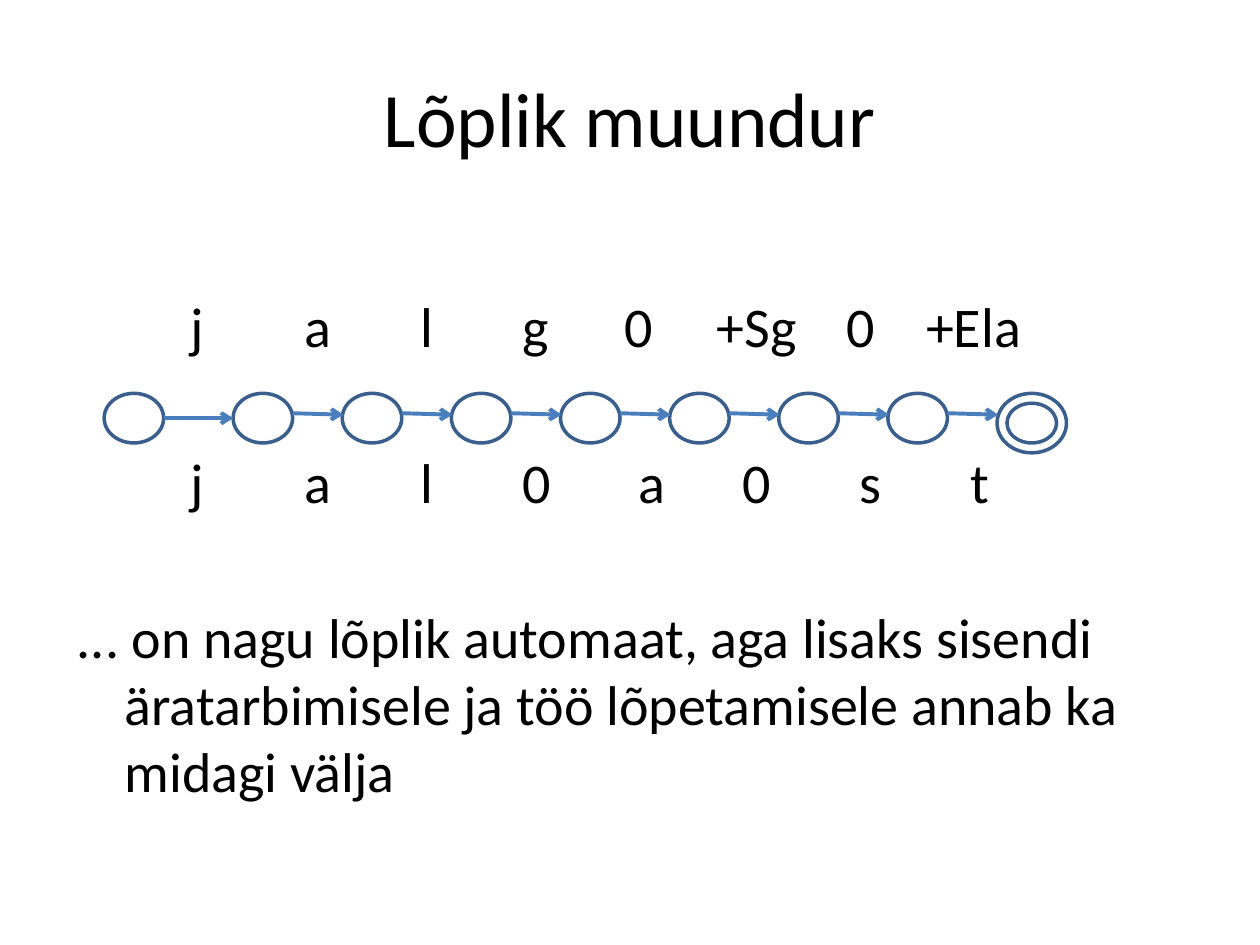
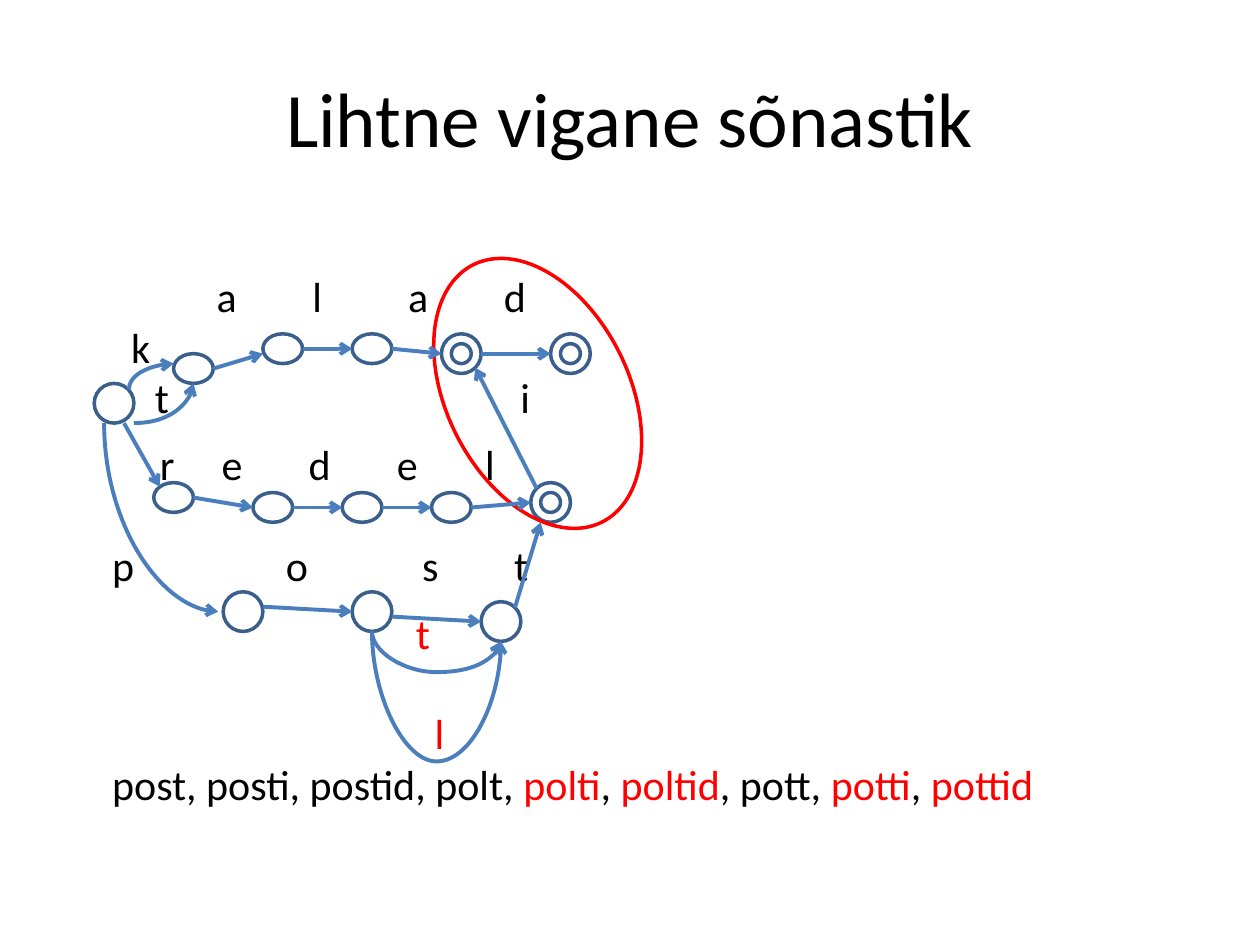
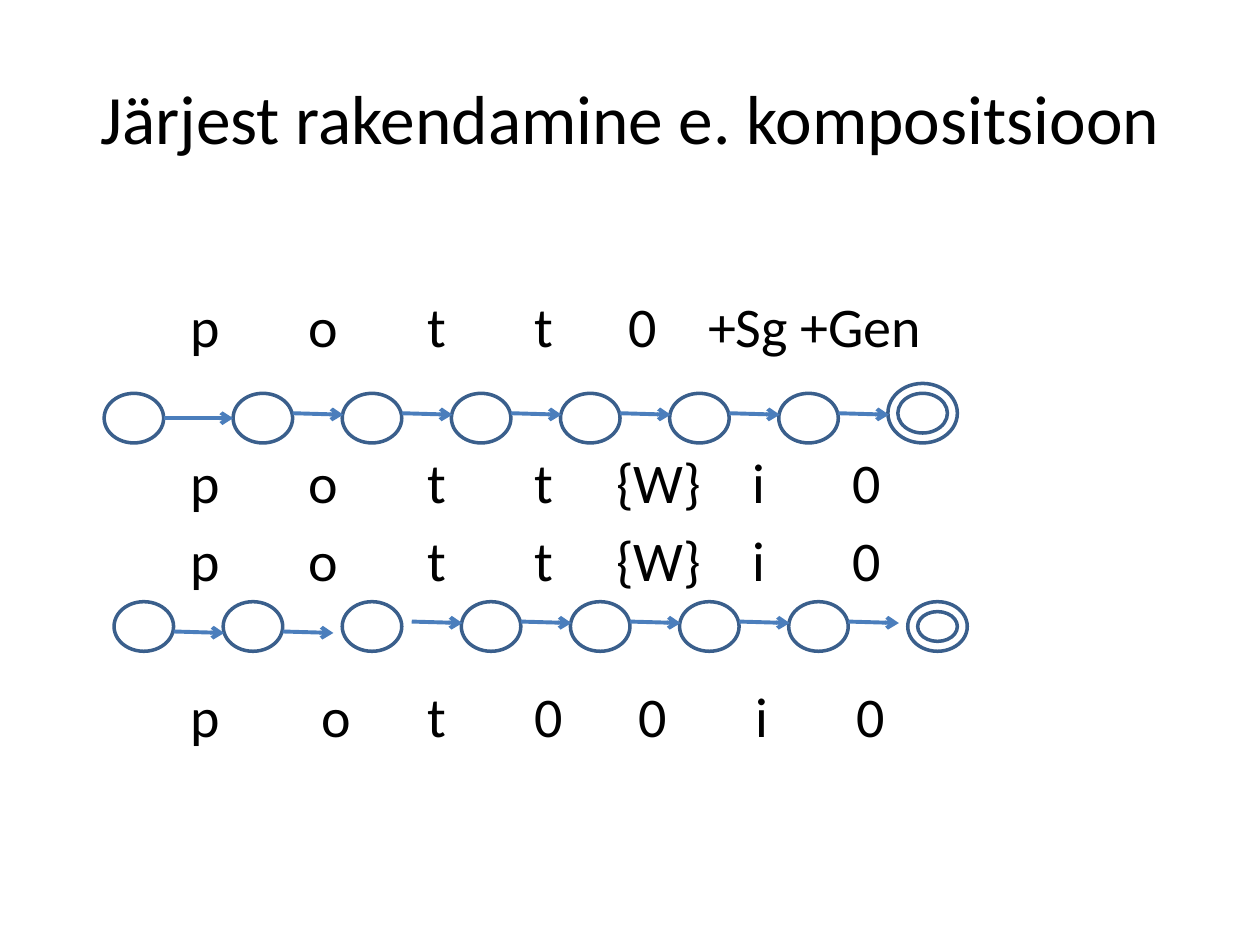
"""Build three slides about finite-state transducers."""
from dataclasses import dataclass
from typing import NamedTuple

from lxml.etree import SubElement
from pptx import Presentation
from pptx.dml.color import RGBColor
from pptx.enum.shapes import MSO_CONNECTOR, MSO_SHAPE
from pptx.enum.text import MSO_ANCHOR, MSO_AUTO_SIZE, PP_ALIGN
from pptx.oxml.ns import qn
from pptx.util import Inches, Length, Mm, Pt


@dataclass(frozen=True)
class Theme:
    """Colours, type sizes and line widths shared by the slides."""

    font: str = "Calibri"
    ink: str = "000000"
    accent: str = "FF0000"
    outline: str = "3A5F8C"
    arrow: str = "4B7EBC"
    title_size: float = 44
    long_title_size: float = 39.6
    body_size: float = 32
    dictionary_size: float = 24
    outline_width: float = 2
    arrow_width: float = 2.25


THEME = Theme()
WIDTH, HEIGHT = Inches(10), Inches(7.5)
HANGING = 0.38


class State(NamedTuple):
    """An automaton state in grid cells; a final one has an inner ring."""

    column: float
    row: float
    columns: float = 6
    rows: float = 5
    final: bool = False
    color: str = THEME.outline
    rotation: float = 0


class Link(NamedTuple):
    """A straight arrow between two grid points."""

    column: float
    row: float
    end_column: float
    end_row: float


class Curve(NamedTuple):
    """A curved arrow; dip is how many rows a loop hangs below its start."""

    link: Link
    vertical_start: bool = True
    dip: float = 0


class Span(NamedTuple):
    """A piece of text in one colour."""

    text: str
    color: str = THEME.ink


class Body(NamedTuple):
    """The place, indents and text of a body placeholder."""

    left: float
    top: float
    text_top: float
    indent: float
    spans: tuple[Span, ...]


class LabelRow(NamedTuple):
    """Bar-separated labels, placed by text line and percent of the width."""

    line: float
    text: str
    stops: tuple[float, ...]
    color: str = THEME.ink


class TextGrid(NamedTuple):
    """The first line, line pitch and type size of the text on a slide."""

    top: float
    pitch: float
    size: float


class Page(NamedTuple):
    """Everything that one slide shows."""

    title: str
    text_grid: TextGrid
    rows: tuple[LabelRow, ...]
    states: tuple[State, ...]
    links: tuple[Link, ...]
    curves: tuple[Curve, ...] = ()
    body: Body | None = None
    title_size: float = THEME.title_size


WORD_GRID = TextGrid(2.31, 0.62, THEME.body_size)
DICTIONARY_GRID = TextGrid(2.15, 0.4, THEME.dictionary_size)


def grid_x(column: float) -> Length:
    """Return the horizontal place of a grid column."""
    return Mm(1 + 2 * column)


def grid_y(row: float) -> Length:
    """Return the vertical place of a grid row."""
    return Mm(1.3 + 2 * row)


def step(column: float, row: float) -> Link:
    """Return the short, slightly sloping arrow between chain states."""
    return Link(column, row, column + 5.1, row + 0.15)


def set_values(target, values: dict) -> None:
    """Set each named attribute of an object."""
    for name, value in values.items():
        setattr(target, name, value)


def add_span(para, text: str, size: float, color: str) -> None:
    """Append a run in the theme font."""
    span = para.add_run()
    span.text = text
    set_values(span.font, {"name": THEME.font, "size": Pt(size)})
    span.font.color.rgb = RGBColor.from_string(color)


def format_line(line, color: str, width: float) -> None:
    """Apply a line colour and width."""
    line.color.rgb = RGBColor.from_string(color)
    line.width = Pt(width)


def add_title(slide, text: str, size: float) -> None:
    """Fill the title placeholder."""
    frame = slide.shapes.title.text_frame
    frame.vertical_anchor = MSO_ANCHOR.MIDDLE
    para = frame.paragraphs[0]
    para.alignment = PP_ALIGN.CENTER
    add_span(para, text, size, THEME.ink)


def add_body(slide, body: Body | None, size: float) -> None:
    """Fill the body placeholder, or remove it if it has no text."""
    box = slide.placeholders[1]
    if body is None:
        box._element.getparent().remove(box._element)
        return
    set_values(box, {"left": Inches(body.left), "top": Inches(body.top),
                     "width": Inches(9), "height": Inches(4.95)})
    frame = box.text_frame
    set_values(frame, {"auto_size": MSO_AUTO_SIZE.NONE, "word_wrap": True,
                       "vertical_anchor": MSO_ANCHOR.TOP,
                       "margin_top": Inches(body.text_top - body.top)})
    para = frame.paragraphs[0]
    para.space_before = Pt(0)
    properties = para._p.get_or_add_pPr()
    properties.set("marL", str(Inches(HANGING)))
    properties.set("indent", str(Inches(body.indent)))
    SubElement(properties, qn("a:buNone"))
    for span in body.spans:
        add_span(para, span.text, size, span.color)


def add_labels(slide, row: LabelRow, text_grid: TextGrid) -> None:
    """Write the labels of one row, each at its own stop."""
    for text, stop in zip(row.text.split("|"), row.stops):
        box = slide.shapes.add_textbox(
            round(WIDTH * stop / 100),
            Inches(text_grid.top + row.line * text_grid.pitch),
            Inches(0.4 * len(text)), Pt(1.22 * text_grid.size))
        frame = box.text_frame
        set_values(frame, {"word_wrap": True, "margin_left": 0,
                           "margin_right": 0, "margin_top": 0,
                           "margin_bottom": 0})
        add_span(frame.paragraphs[0], text, text_grid.size, row.color)


def add_state(slide, state: State) -> None:
    """Draw a state, with an inner ring one cell inside if it is final."""
    for inset in (0, 1) if state.final else (0,):
        ring = slide.shapes.add_shape(
            MSO_SHAPE.OVAL,
            grid_x(state.column + inset), grid_y(state.row + inset),
            Mm(2 * (state.columns - 2 * inset)),
            Mm(2 * (state.rows - 2 * inset)))
        ring.shadow.inherit = False
        ring.rotation = state.rotation
        ring.fill.background()
        format_line(ring.line, state.color, THEME.outline_width)


def add_arrow(slide, kind: MSO_CONNECTOR, link: Link):
    """Draw a connector that ends in an open arrowhead."""
    arrow = slide.shapes.add_connector(
        kind, grid_x(link.column), grid_y(link.row),
        grid_x(link.end_column), grid_y(link.end_row))
    format_line(arrow.line, THEME.arrow, THEME.arrow_width)
    SubElement(arrow.line._get_or_add_ln(), qn("a:tailEnd"), type="arrow")
    SubElement(arrow._element.spPr, qn("a:effectLst"))
    return arrow


def add_curve(slide, curve: Curve) -> None:
    """Draw a curved arrow, turned a quarter if it starts vertically."""
    link = curve.link
    rise = link.end_row - link.row
    if curve.vertical_start:
        run = link.end_column - link.column
        column = (link.column + link.end_column) / 2
        row = (link.row + link.end_row) / 2
        link = Link(column + rise / 2, row - run / 2,
                    column - rise / 2, row + run / 2)
    arrow = add_arrow(slide, MSO_CONNECTOR.CURVE, link)
    properties = arrow._element.spPr
    if curve.vertical_start:
        properties.find(qn("a:xfrm")).set("rot", str(270 * 60000))
    geometry = properties.find(qn("a:prstGeom"))
    if curve.dip:
        adjustments = geometry.find(qn("a:avLst"))
        if adjustments is None:
            adjustments = SubElement(geometry, qn("a:avLst"))
        SubElement(adjustments, qn("a:gd"), name="adj1",
                   fmla=f"val {round(curve.dip / rise * 100000)}")
    else:
        geometry.set("prst", "curvedConnector2")


def add_page(deck, page: Page) -> None:
    """Add one slide with its text, states and arrows."""
    slide = deck.slides.add_slide(deck.slide_layouts[1])
    add_title(slide, page.title, page.title_size)
    add_body(slide, page.body, page.text_grid.size)
    for row in page.rows:
        add_labels(slide, row, page.text_grid)
    for state in page.states:
        add_state(slide, state)
    for link in page.links:
        add_arrow(slide, MSO_CONNECTOR.STRAIGHT, link)
    for curve in page.curves:
        add_curve(slide, curve)


def chain_states(count: int) -> tuple[State, ...]:
    """Return a start state and evenly spaced states after it."""
    return (State(10, 39), *(State(23 + 11 * i, 39) for i in range(count)))


def chain_links(count: int) -> tuple[Link, ...]:
    """Return the long first arrow and the short ones after it."""
    return (Link(16, 41.5, 23, 41.5),
            *(step(29 + 11 * i, 41) for i in range(count)))


def transducer_page() -> Page:
    """Describe the finite transducer slide."""
    start = (15.1, 24.2, 33.4, 41.5)
    rows = (
        LabelRow(0, "j|a|l|g|0|+Sg|0|+Ela", (*start, 49.6, 56.9, 67.2, 73.5)),
        LabelRow(2, "j|a|l|0|a|0|s|t", (*start, 50.7, 58.9, 68.2, 77)),
    )
    sentence = Span("... on nagu lõplik automaat, aga lisaks sisendi "
                    "äratarbimisele ja töö lõpetamisele annab ka "
                    "midagi välja")
    return Page("Lõplik muundur", WORD_GRID, rows,
                (*chain_states(7), State(100, 39, 7, 6, True)),
                chain_links(7),
                body=Body(0.51, 1.62, 4.78, -HANGING, (sentence,)))


def dictionary_page() -> Page:
    """Describe the simple faulty dictionary slide."""
    red = THEME.accent
    words = (Span("post, posti, postid, polt, "), Span("polti", red),
             Span(","), Span(" poltid", red), Span(", pott, "),
             Span("potti", red), Span(","), Span(" pottid", red))
    rows = (
        LabelRow(0, "a|l|a|d", (17.2, 24.8, 32.4, 40)),
        LabelRow(1, "k", (10.4,)),
        LabelRow(2, "t|i", (12.3, 41.3)),
        LabelRow(3.33, "r|e|d|e|l", (12.7, 17.6, 24.5, 31.5, 38.5)),
        LabelRow(5.33, "p|o|s|t", (8.9, 22.7, 33.5, 40.8)),
        LabelRow(6.67, "t", (33,), red),
        LabelRow(8.67, "l", (34.5,), red),
    )
    flat = ((17, 35), (26, 33), (35, 33), (15, 48), (25, 49), (34, 49), (43, 49))
    round_places = ((9, 38), (22, 59), (35, 59), (48, 60))
    final_places = ((44, 33), (55, 33), (53, 48))
    states = (
        *(State(*place, 4, 3) for place in flat),
        *(State(*place, 4, 4) for place in round_places),
        *(State(*place, 4, 4, True) for place in final_places),
        State(44.5, 24.5, 18.4, 29, color=red, rotation=333.4),
    )
    links = (
        Link(21, 36.5, 26, 35), Link(30, 34.5, 35, 34.5),
        Link(39, 34.5, 44, 35), Link(48, 35, 55, 35),
        Link(12, 42, 15.6, 48.4), Link(19, 49.5, 25, 50.5),
        Link(29, 50.5, 34, 50.5), Link(38, 50.5, 43, 50.5),
        Link(47, 50.5, 53, 50), Link(26, 60.5, 35, 61),
        Link(39, 61.5, 48, 62), Link(51.4, 60.6, 54, 52),
        Link(53.6, 48.6, 47.4, 36.4),
    )
    loop = Link(37, 63, 50, 64)
    curves = (Curve(Link(10, 42, 21.5, 61)),
              Curve(Link(13, 42, 19, 38), vertical_start=False),
              Curve(Link(12.5, 38.6, 17, 36)),
              Curve(loop, dip=4.1), Curve(loop, dip=13.1))
    return Page("Lihtne vigane sõnastik", DICTIONARY_GRID, rows,
                states, links, curves, Body(0.41, 1.7, 6.02, 0, words))


def composition_page() -> Page:
    """Describe the composition slide with two chains."""
    start = (15.1, 24.5, 33.9, 42.4)
    middle = (*start, 48.9, 59.7, 67.7)
    rows = (
        LabelRow(0, "p|o|t|t|0|+Sg +Gen", (*start, 49.9, 56.2)),
        *(LabelRow(line, "p|o|t|t|{W}|i|0", middle) for line in (2, 3)),
        LabelRow(5, "p|o|t|0|0|i|0",
                 (15.1, 25.5, 33.9, 42.4, 50.7, 60, 68)),
    )
    lower_states = (State(column, 60) for column in (11, 22, 34, 46, 57, 68, 79))
    states = (*chain_states(6), State(89, 38, 7, 6, True),
              *lower_states, State(91, 60, final=True))
    links = (*chain_links(6), step(17, 63), step(28, 63),
             *(step(41 + 11 * i, 62) for i in range(5)))
    return Page("Järjest rakendamine e. kompositsioon", WORD_GRID, rows,
                states, links, title_size=THEME.long_title_size)


def main() -> None:
    """Build and save the deck."""
    deck = Presentation()
    set_values(deck, {"slide_width": WIDTH, "slide_height": HEIGHT})
    for page in (transducer_page(), dictionary_page(), composition_page()):
        add_page(deck, page)
    deck.save("out.pptx")


if __name__ == "__main__":
    main()
